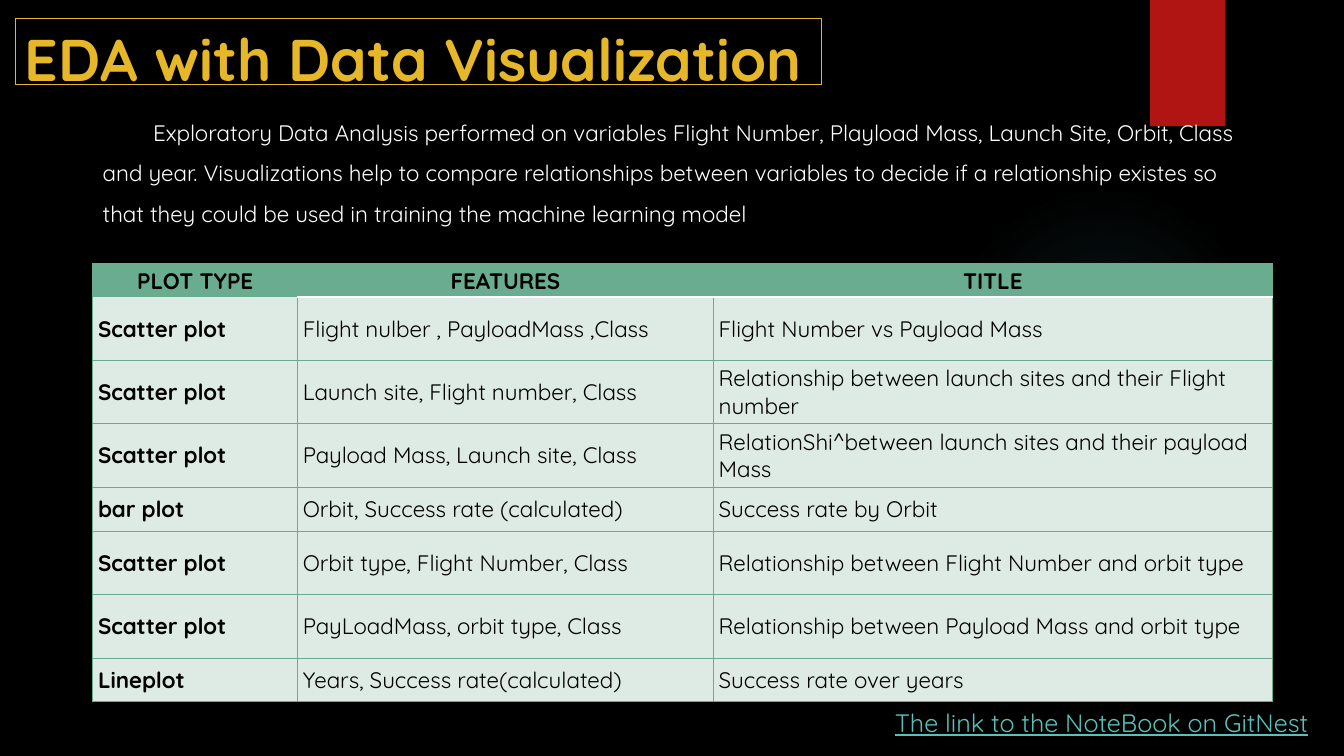
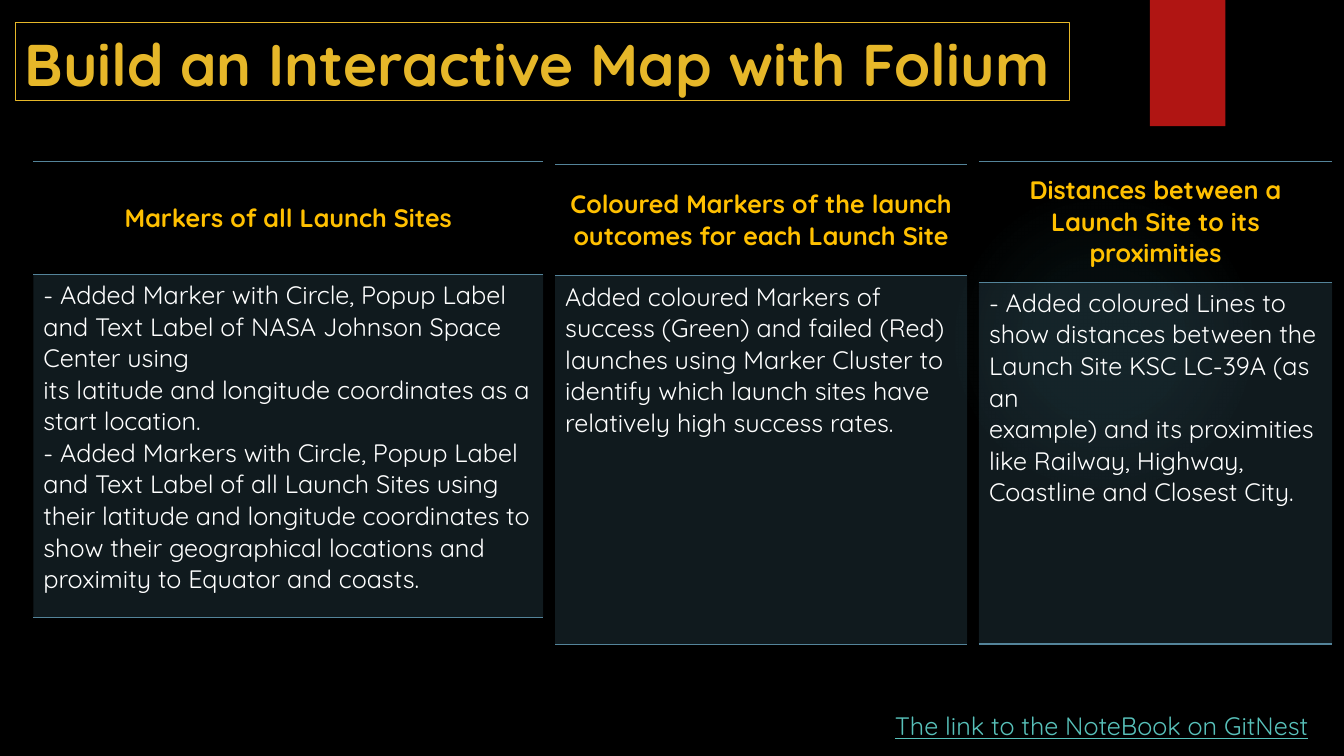
from lxml import etree
from pptx import Presentation
from pptx.dml.color import RGBColor
from pptx.enum.shapes import MSO_SHAPE
from pptx.enum.text import MSO_ANCHOR, PP_ALIGN
from pptx.oxml import parse_xml
from pptx.oxml.ns import nsdecls, qn
from pptx.util import Cm, Pt

OVAL, RECT = MSO_SHAPE.OVAL, MSO_SHAPE.RECTANGLE
LEFT, CENTER = PP_ALIGN.LEFT, PP_ALIGN.CENTER
TOP, MIDDLE = MSO_ANCHOR.TOP, MSO_ANCHOR.MIDDLE
FONT = "Quicksand"
NO_STYLE = "{2D5ABB26-0587-4C30-8999-92F81FD0307C}"
COLORS = {
    "black": "000000", "white": "FFFFFF", "red": "B01513", "title": "E6B729",
    "link": "58C1BA", "glow": "50B9C1", "green": "6AAC90", "mint": "DEEAE4",
    "heading": "FFC000", "steel": "54849A",
}
GLOW_STOPS = [(0, 7), (36, 6), (69, 0)]  # position and opacity, percent

LINK = "The link to the NoteBook on GitNest"
EDA_TITLE = "EDA with Data Visualization"
EDA_INTRO = (
    "Exploratory Data Analysis performed on variables Flight Number, Playload Mass, "
    "Launch Site, Orbit, Class and year. Visualizations help to compare relationships "
    "between variables to decide if a relationship existes so that they could be used "
    "in training the machine learning model"
)
PLOT_COLS = [5.16, 10.48, 14.08]
PLOT_ROWS = [  # height in cm, cells
    (0.83, ("PLOT TYPE", "FEATURES", "TITLE")),
    (1.6, ("Scatter plot", "Flight nulber , PayloadMass ,Class",
           "Flight Number vs Payload Mass")),
    (1.6, ("Scatter plot", "Launch site, Flight number, Class",
           "Relationship between launch sites and their Flight number")),
    (1.6, ("Scatter plot", "Payload Mass, Launch site, Class",
           "RelationShi^between launch sites and their payload Mass")),
    (1.1, ("bar plot", "Orbit, Success rate (calculated)", "Success rate by Orbit")),
    (1.6, ("Scatter plot", "Orbit type, Flight Number, Class",
           "Relationship between Flight Number and orbit type")),
    (1.6, ("Scatter plot", "PayLoadMass, orbit type, Class",
           "Relationship between Payload Mass and orbit type")),
    (1.1, ("Lineplot", "Years, Success rate(calculated)", "Success rate over years")),
]

MAP_TITLE = "Build an Interactive Map with Folium"
MAP_CARDS = [  # left, top, width, row heights, heading, body paragraphs
    (0.84, 4.06, 12.85, (2.85, 8.65), "Markers of all Launch Sites", [
        "- Added Marker with Circle, Popup Label and Text Label of NASA Johnson Space "
        "Center using",
        "its latitude and longitude coordinates as a start location.",
        "- Added Markers with Circle, Popup Label and Text Label of all Launch Sites "
        "using their latitude and longitude coordinates to show their geographical "
        "locations and proximity to Equator and coasts.",
    ]),
    (13.99, 4.15, 10.38, (2.8, 9.3),
     "Coloured Markers of the launch outcomes for each Launch Site", [
        "Added coloured Markers of success (Green) and failed (Red) launches using "
        "Marker Cluster to",
        "identify which launch sites have relatively high success rates.",
     ]),
    (24.67, 4.06, 8.9, (3.05, 9.12),
     "Distances between a Launch Site to its proximities", [
        "- Added coloured Lines to show distances between the Launch Site KSC LC-39A "
        "(as an",
        "example) and its proximities like Railway, Highway, Coastline and Closest City.",
     ]),
]


def rgb(name):
    return RGBColor.from_string(COLORS[name])


def put_text(tf, text, size=18, color="white", bold=False, underline=False,
             align=LEFT, spacing=None, indent=None):
    """Fill a text frame with one paragraph, or one per list item."""
    tf.word_wrap = True
    for i, line in enumerate([text] if isinstance(text, str) else text):
        p = tf.add_paragraph() if i else tf.paragraphs[0]
        p.alignment = align
        if spacing:
            p.line_spacing = spacing
        if indent:
            p._p.get_or_add_pPr().set("indent", str(Cm(indent)))
        r = p.add_run()
        r.text = line
        r.font.name, r.font.size = FONT, Pt(size)
        r.font.bold, r.font.underline = bold, underline
        r.font.color.rgb = rgb(color)


def add_text(slide, box, text, **fmt):
    s = slide.shapes.add_textbox(*map(Cm, box))
    s.text_frame.vertical_anchor = TOP
    put_text(s.text_frame, text, **fmt)
    return s


def add_plain_shape(slide, kind, box, color):
    s = slide.shapes.add_shape(kind, *map(Cm, box))
    s.shadow.inherit = False
    s.fill.solid()
    s.fill.fore_color.rgb = rgb(color)
    s.line.fill.background()
    return s


def make_glow(s):
    """Turn a shape's solid fill into a radial fade."""
    stops = "".join(
        f'<a:gs pos="{pos * 1000}"><a:srgbClr val="{COLORS["glow"]}">'
        f'<a:alpha val="{alpha * 1000}"/></a:srgbClr></a:gs>'
        for pos, alpha in GLOW_STOPS)
    grad = parse_xml(
        f'<a:gradFill {nsdecls("a")}><a:gsLst>{stops}</a:gsLst><a:path path="circle">'
        '<a:fillToRect l="50000" t="50000" r="50000" b="50000"/></a:path></a:gradFill>')
    spPr = s._element.spPr
    spPr.replace(spPr.find(qn("a:solidFill")), grad)


def add_base_slide(prs, title, title_box, link_top):
    slide = prs.slides.add_slide(prs.slide_layouts[6])
    make_glow(add_plain_shape(slide, OVAL, (23.9, 4.65, 7.82, 7.82), "glow"))
    add_plain_shape(slide, RECT, (28.98, 0, 1.9, 3.18), "red")
    s = add_text(slide, title_box, title, size=42, color="title", bold=True)
    s.line.color.rgb = rgb("title")
    s.line.width = Pt(0.75)
    add_text(slide, (22.3, link_top, 11.3, 1.02), LINK, color="link", underline=True)
    return slide


def add_plain_table(slide, left, top, cols, rows):
    frame = slide.shapes.add_table(len(rows), len(cols), Cm(left), Cm(top),
                                   Cm(sum(cols)), Cm(sum(rows)))
    table = frame.table
    table.horz_banding = False
    table._tbl.tblPr.find(qn("a:tableStyleId")).text = NO_STYLE
    for col, width in zip(table.columns, cols):
        col.width = Cm(width)
    for row, height in zip(table.rows, rows):
        row.height = Cm(height)
    return table


def style_cell(cell, fill=None, alpha=None, **borders):
    """Set the fill and the borders; each of L, R, T, B is (colour, points)."""
    tcPr = cell._tc.get_or_add_tcPr()
    if fill:
        cell.fill.solid()
        cell.fill.fore_color.rgb = rgb(fill)
        if alpha:
            clr = tcPr.find(qn("a:solidFill")).find(qn("a:srgbClr"))
            etree.SubElement(clr, qn("a:alpha")).set("val", str(alpha * 1000))
    else:
        cell.fill.background()
    for i, side in enumerate("LRTB"):
        color, width = borders.get(side, (None, 0))
        paint = (f'<a:solidFill><a:srgbClr val="{COLORS[color]}"/></a:solidFill>'
                 if color else "<a:noFill/>")
        tcPr.insert(i, parse_xml(
            f'<a:ln{side} {nsdecls("a")} w="{Pt(width)}">{paint}</a:ln{side}>'))


def add_plot_table(slide):
    table = add_plain_table(slide, 2.34, 6.65, PLOT_COLS, [h for h, _ in PLOT_ROWS])
    for i, (_, texts) in enumerate(PLOT_ROWS):
        for j, text in enumerate(texts):
            cell = table.cell(i, j)
            cell.vertical_anchor = MIDDLE
            cell.margin_left = cell.margin_right = Cm(0.13)
            cell.margin_top = cell.margin_bottom = Cm(0.07)
            put_text(cell.text_frame, text, size=16, color="black",
                     bold=i == 0 or j == 0, align=CENTER if i == 0 else LEFT)
            borders = dict.fromkeys("LRTB", ("green", 0.75))
            if j and i < 2:
                borders["B" if i == 0 else "T"] = ("white", 1.5)
            style_cell(cell, "mint" if i else "green", **borders)


def add_card(slide, left, top, width, rows, heading, body):
    table = add_plain_table(slide, left, top, [width], rows)
    head, text = table.cell(0, 0), table.cell(1, 0)
    rule = ("steel", 1)
    head.vertical_anchor = MIDDLE
    put_text(head.text_frame, heading, color="heading", bold=True, align=CENTER)
    put_text(text.text_frame, body)
    style_cell(head, T=rule, B=rule)
    style_cell(text, "steel", alpha=20, T=rule, B=rule)


def main():
    prs = Presentation()
    prs.slide_width, prs.slide_height = Cm(33.87), Cm(19.05)
    background = prs.slide_master.background.fill
    background.solid()
    background.fore_color.rgb = rgb("black")

    slide = add_base_slide(prs, EDA_TITLE, (0.38, 0.46, 20.32, 1.68), 17.7)
    add_text(slide, (2.34, 2.54, 29.72, 3.2), EDA_INTRO, size=16, spacing=1.5, indent=1.27)
    add_plot_table(slide)

    slide = add_base_slide(prs, MAP_TITLE, (0.38, 0.58, 26.57, 1.96), 17.78)
    for card in MAP_CARDS:
        add_card(slide, *card)

    prs.save("out.pptx")


if __name__ == "__main__":
    main()
